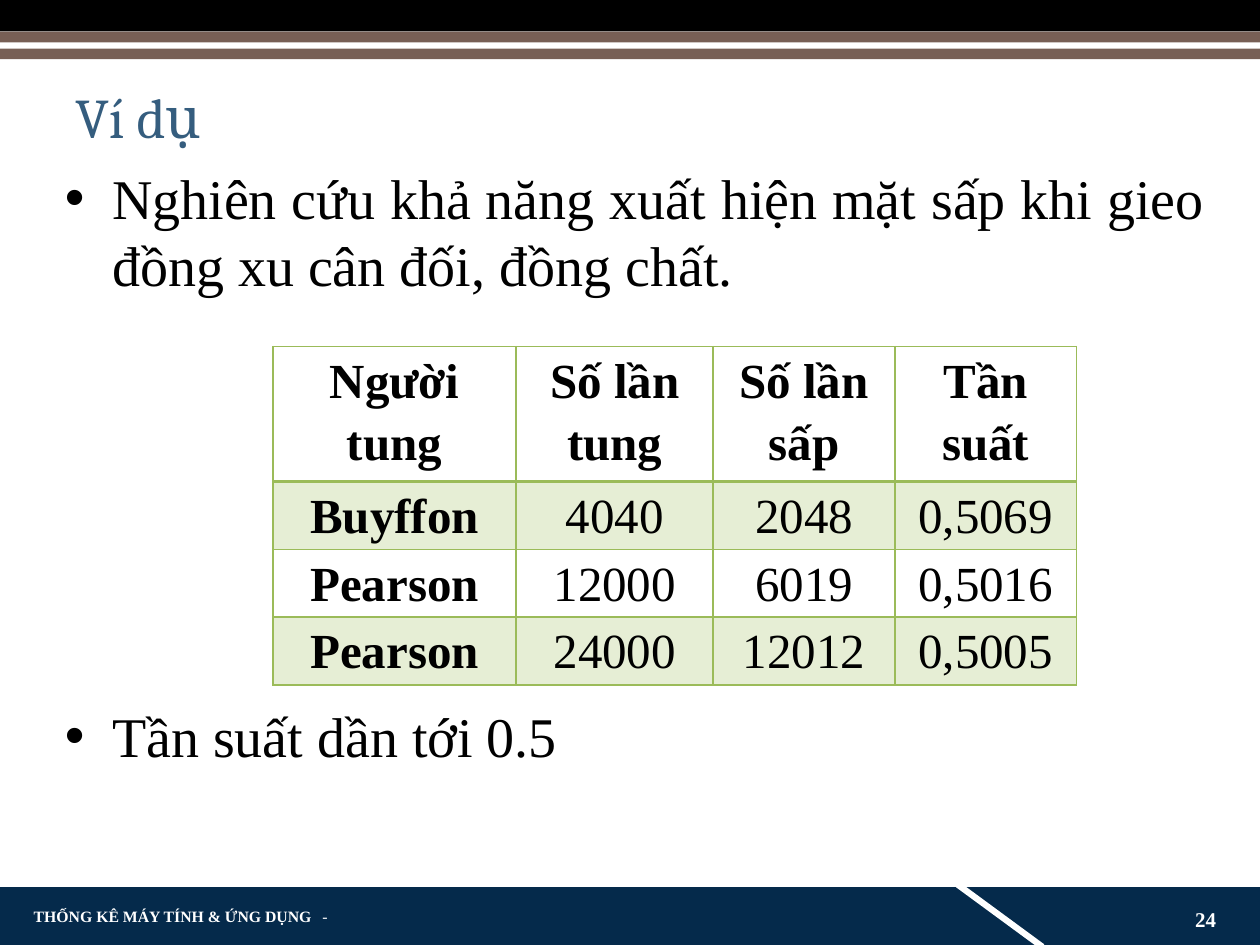
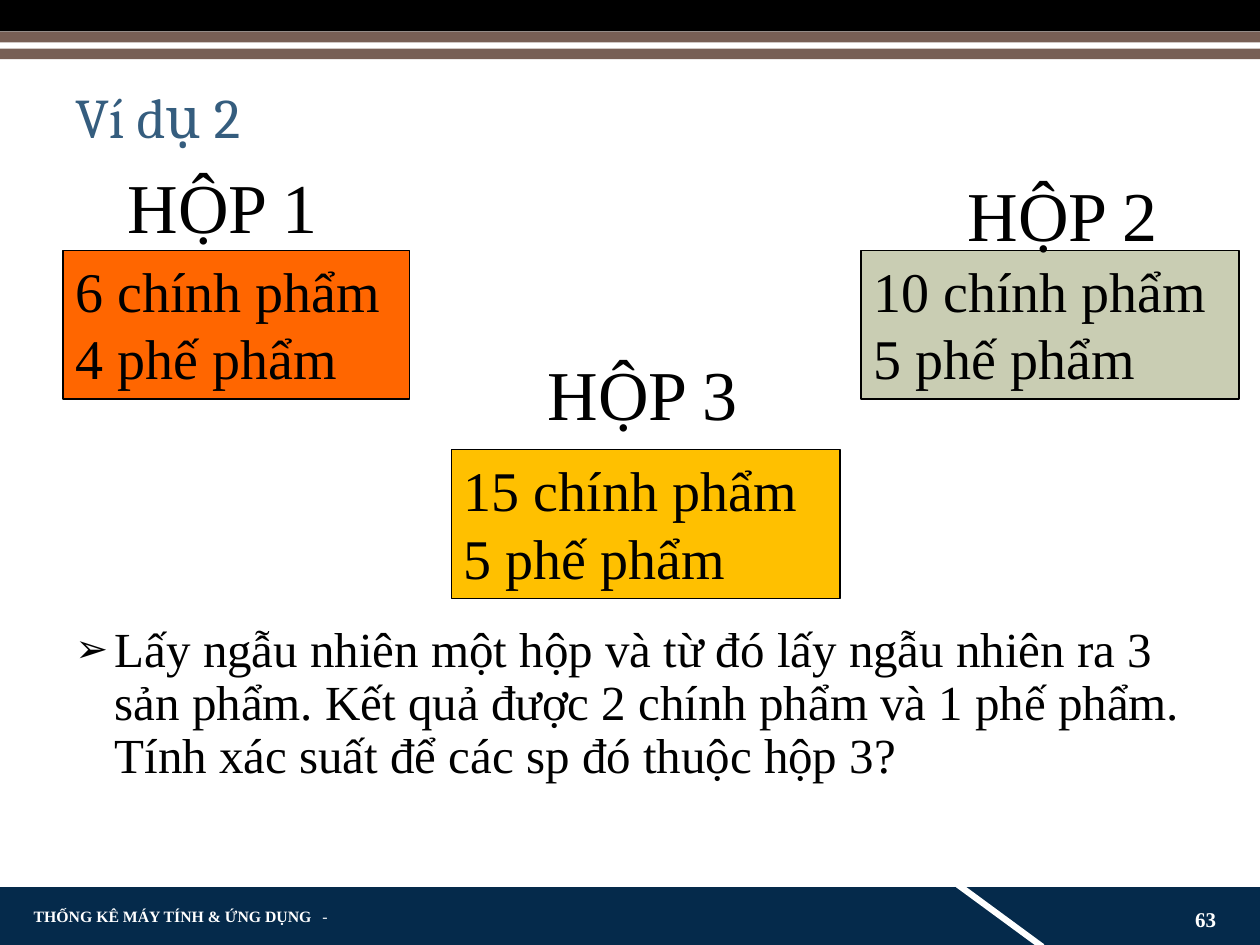
from dataclasses import dataclass
from typing import Any, Optional

from lxml.etree import SubElement
from pptx import Presentation
from pptx.dml.color import RGBColor
from pptx.enum.shapes import MSO_SHAPE as Shape
from pptx.enum.text import MSO_ANCHOR as Anchor, PP_ALIGN as Align
from pptx.oxml.ns import qn
from pptx.util import Pt

# Shared colours and fonts
BLACK = RGBColor(0x00, 0x00, 0x00)
WHITE = RGBColor(0xFF, 0xFF, 0xFF)
NAVY = RGBColor(0x05, 0x2A, 0x4B)
BROWN = RGBColor(0x77, 0x5F, 0x55)
TITLE_BLUE = RGBColor(0x35, 0x5D, 0x7E)
GRID_GREEN = RGBColor(0x9B, 0xBB, 0x59)
ROW_GREEN = RGBColor(0xE6, 0xEE, 0xD5)
ORANGE = RGBColor(0xFF, 0x66, 0x00)
AMBER = RGBColor(0xFF, 0xC0, 0x00)
SAGE = RGBColor(0xC9, 0xCD, 0xB3)
SERIF = "Times New Roman"
WIDTH, HEIGHT = 720, 540


@dataclass
class Area:
    left: float
    top: float
    width: float
    height: float

    def lengths(self) -> tuple:
        return Pt(self.left), Pt(self.top), Pt(self.width), Pt(self.height)


@dataclass
class Style:
    size: float
    color: RGBColor = BLACK
    font: str = SERIF
    bold: bool = False
    align: Align = Align.LEFT
    spacing: float = 1.0
    anchor: Anchor = Anchor.TOP


@dataclass
class Bullet:
    char: str
    indent: float
    percent: int = 100


@dataclass
class Band:
    area: Area
    fill: RGBColor
    rotation: float = 0


@dataclass
class Box:
    label: str
    label_at: tuple[float, float]
    area: Area
    fill: RGBColor
    contents: list[str]


BANDS = [
    Band(Area(0, 507, WIDTH, 33.5), NAVY),
    Band(Area(541.5, 521.5, 60, 3.6), WHITE, 36.3),
    Band(Area(0, 0, WIDTH, 18), BLACK),
    Band(Area(0, 18, WIDTH, 15.8), BROWN),
    Band(Area(0, 24.2, WIDTH, 3.6), WHITE),
]
TITLE = Style(32, TITLE_BLUE, "Cambria", spacing=0.9)
FOOTER = Style(9, WHITE, bold=True, anchor=Anchor.MIDDLE)
NUMBER = Style(12, WHITE, bold=True, align=Align.RIGHT, anchor=Anchor.MIDDLE)


# Drawing functions
def apply(target: Any, formats: dict[str, Any]) -> None:
    for name, value in formats.items():
        setattr(target, name, value)


def write(frame: Any, lines: list[str], style: Style) -> None:
    apply(frame, {"word_wrap": True, "vertical_anchor": style.anchor})
    for index, line in enumerate(lines):
        paragraph = frame.add_paragraph() if index else frame.paragraphs[0]
        apply(paragraph, {"alignment": style.align, "line_spacing": style.spacing})
        add_run(paragraph, line, style, style.bold)


def add_run(paragraph: Any, words: str, style: Style, bold: bool) -> None:
    run = paragraph.add_run()
    run.text = words
    apply(run.font, {"name": style.font, "size": Pt(style.size), "bold": bold})
    run.font.color.rgb = style.color


def add_text(slide: Any, area: Area, words: str, style: Style,
             bullet: Optional[Bullet] = None) -> Any:
    frame = slide.shapes.add_textbox(*area.lengths()).text_frame
    write(frame, [words], style)
    paragraph = frame.paragraphs[0]
    if bullet:
        props = paragraph._p.get_or_add_pPr()
        props.set("marL", str(Pt(bullet.indent)))
        props.set("indent", str(-Pt(bullet.indent)))
        SubElement(props, qn("a:buSzPct")).set("val", str(bullet.percent * 1000))
        SubElement(props, qn("a:buFont")).set("typeface", "Arial")
        SubElement(props, qn("a:buChar")).set("char", bullet.char)
    return paragraph


def add_rect(slide: Any, area: Area, fill: RGBColor, outline: Optional[RGBColor] = None) -> Any:
    rect = slide.shapes.add_shape(Shape.RECTANGLE, *area.lengths())
    rect.shadow.inherit = False
    rect.fill.solid()
    rect.fill.fore_color.rgb = fill
    if outline is None:
        rect.line.fill.background()
    else:
        rect.line.color.rgb = outline
        rect.line.width = Pt(0.75)
    return rect


def add_slide(deck: Any, title: str, number: int) -> Any:
    slide = deck.slides.add_slide(deck.slide_layouts[6])
    for band in BANDS:
        add_rect(slide, band.area, band.fill).rotation = band.rotation
    course = add_text(slide, Area(12.2, 516.2, 186, 14.4), "THỐNG KÊ MÁY TÍNH & ỨNG DỤNG", FOOTER)
    add_run(course, "\t-", FOOTER, False)
    tabs = SubElement(course._p.get_or_add_pPr(), qn("a:tabLst"))
    apply_xml(SubElement(tabs, qn("a:tab")), {"pos": Pt(165), "algn": "l"})
    add_text(slide, Area(36, 48.2, 651.6, 73.4), title, TITLE)
    add_text(slide, Area(646.6, 516.2, 55.4, 18), str(number), NUMBER)
    return slide


def apply_xml(element: Any, attributes: dict[str, Any]) -> None:
    for name, value in attributes.items():
        element.set(name, str(value))


def add_borders(cell: Any, widths: dict[str, float]) -> None:
    props = cell._tc.get_or_add_tcPr()
    for side, width in widths.items():
        line = SubElement(props, qn(f"a:ln{side}"))
        line.set("w", str(Pt(width)))
        fill = SubElement(line, qn("a:solidFill"))
        SubElement(fill, qn("a:srgbClr")).set("val", str(GRID_GREEN))


def add_toss_table(slide: Any, left: float, top: float, columns: list[float],
                   heights: list[float], rows: list[list[str]]) -> None:
    area = Area(left, top, sum(columns), sum(heights))
    table = slide.shapes.add_table(len(rows), len(columns), *area.lengths()).table
    apply(table, {"first_row": False, "horz_banding": False})
    for column, width in zip(table.columns, columns):
        column.width = Pt(width)
    for r, (values, height) in enumerate(zip(rows, heights)):
        table.rows[r].height = Pt(height)
        for c, value in enumerate(values):
            cell = table.cell(r, c)
            apply(cell, {"margin_left": Pt(5.4), "margin_right": Pt(5.4),
                         "margin_top": 0, "margin_bottom": 0})
            bold = r == 0 or c == 0
            write(cell.text_frame, [value], Style(28, bold=bold, align=Align.CENTER, spacing=1.15))
            # The heading row is closed by a heavier rule
            add_borders(cell, {"L": 1, "R": 1, "T": 2.25 if r == 1 else 1,
                               "B": 2.25 if r == 0 else 1})
            if r % 2:
                cell.fill.solid()
                cell.fill.fore_color.rgb = ROW_GREEN
            else:
                cell.fill.background()


def add_box(slide: Any, box: Box) -> None:
    rect = add_rect(slide, box.area, box.fill, BLACK)
    write(rect.text_frame, box.contents, Style(32))
    add_text(slide, Area(*box.label_at, 126, 55.4), box.label, Style(40))


deck = Presentation()
apply(deck, {"slide_width": Pt(WIDTH), "slide_height": Pt(HEIGHT)})

# Coin tossing
coin = add_slide(deck, "Ví dụ", 24)
add_toss_table(coin, 156, 198, [139, 112.6, 103.8, 103.8], [73.2, 36.6, 36.6, 36.6], [
    ["Người tung", "Số lần tung", "Số lần sấp", "Tần suất"],
    ["Buyffon", "4040", "2048", "0,5069"],
    ["Pearson", "12000", "6019", "0,5016"],
    ["Pearson", "24000", "12012", "0,5005"],
])
dot = Bullet("•", 27)
study = Style(32, align=Align.JUSTIFY)
add_text(coin, Area(30, 90, 666, 90),
         "Nghiên cứu khả năng xuất hiện mặt sấp khi gieo đồng xu cân đối, đồng chất.", study, dot)
add_text(coin, Area(30, 397.5, 666, 48), "Tần suất dần tới 0.5", study, dot)

# Three boxes of products
products = add_slide(deck, "Ví dụ 2", 63)
add_text(products, Area(36, 354, 666, 150),
         "Lấy ngẫu nhiên một hộp và từ đó lấy ngẫu nhiên ra 3 sản phẩm. Kết quả được "
         "2 chính phẩm và 1 phế phẩm. Tính xác suất để các sp đó thuộc hộp 3?",
         Style(28, spacing=0.9), Bullet("➢", 22.5, 80))
for product_box in [
    Box("HỘP 1", (66, 90), Area(36, 143, 198, 85), ORANGE, ["6 chính phẩm", "4 phế phẩm"]),
    Box("HỘP 3", (306, 196.5), Area(258, 257, 222, 85), AMBER, ["15 chính phẩm", "5 phế phẩm"]),
    Box("HỘP 2", (546, 94.5), Area(492, 143, 216, 85), SAGE, ["10 chính phẩm", "5 phế phẩm"]),
]:
    add_box(products, product_box)

deck.save("out.pptx")
